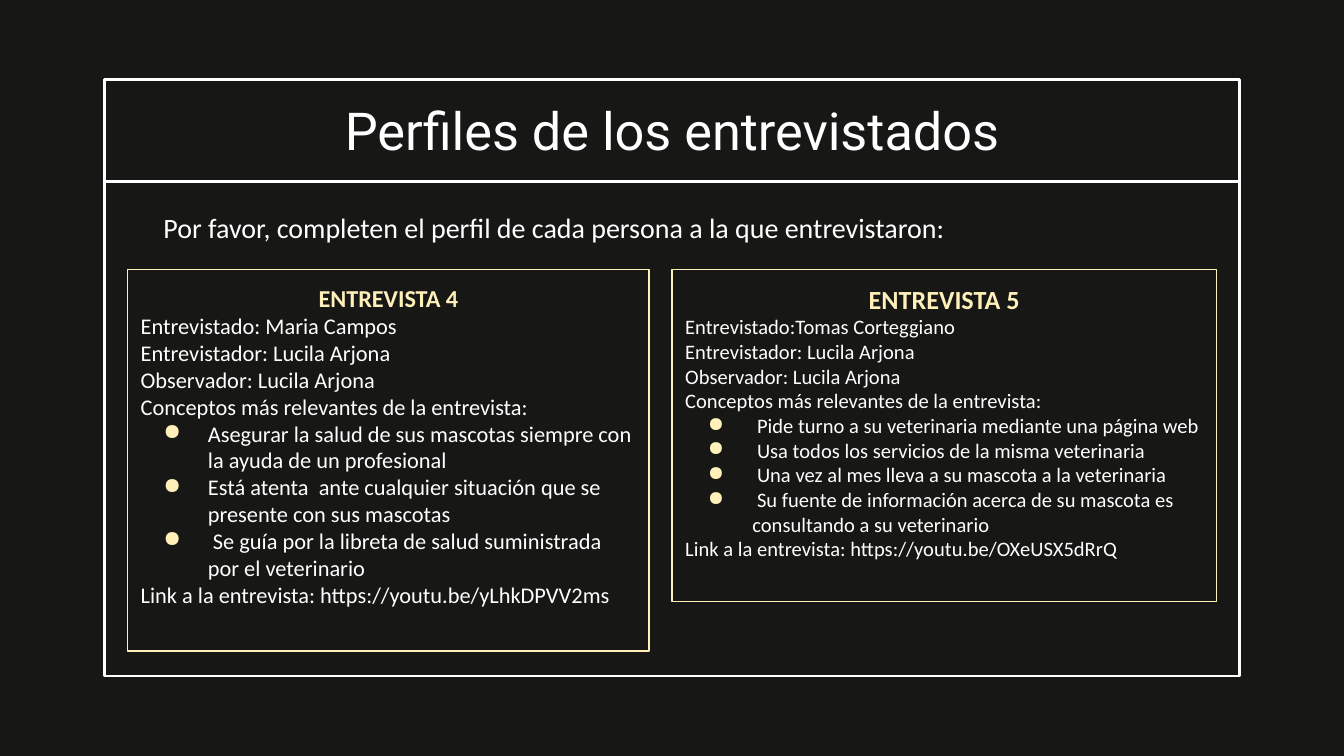
"""Build the slide with the profiles of two interviewees."""
from dataclasses import dataclass

from lxml import etree
from pptx import Presentation
from pptx.dml.color import RGBColor
from pptx.enum import shapes, text
from pptx.oxml import ns
from pptx.util import Cm, Pt


@dataclass(frozen=True)
class Theme:
    back: RGBColor = RGBColor(0x17, 0x17, 0x15)
    white: RGBColor = RGBColor(0xFF, 0xFF, 0xFF)
    cream: RGBColor = RGBColor(0xFF, 0xF0, 0xB9)
    display: str = "Roboto"
    body: str = "Calibri"
    title: int = 28
    intro: int = 15
    frame: float = 1.5
    card: float = 0.75


THEME = Theme()
INSET = Cm(0.25)
LEFT, WIDTH = 1.98, 21.44

CARDS = [
    dict(
        area=(2.41, 5.1, 9.86, 7.21), sizes=(13, 12), head="ENTREVISTA 4",
        name="Entrevistado: Maria Campos",
        points=[
            "Asegurar la salud de sus mascotas siempre con la ayuda de un profesional",
            "Está atenta  ante cualquier situación que se presente con sus mascotas",
            " Se guía por la libreta de salud suministrada por el veterinario",
        ],
        link="https://youtu.be/yLhkDPVV2ms",
    ),
    dict(
        area=(12.7, 5.1, 10.29, 6.27), sizes=(14, 11), head="ENTREVISTA 5",
        name="Entrevistado:Tomas Corteggiano",
        points=[
            " Pide turno a su veterinaria mediante una página web",
            " Usa todos los servicios de la misma veterinaria",
            " Una vez al mes lleva a su mascota a la veterinaria",
            " Su fuente de información acerca de su mascota es consultando a su veterinario",
        ],
        link="https://youtu.be/OXeUSX5dRrQ",
    ),
]


def setup(frame, anchor=text.MSO_ANCHOR.TOP):
    frame.word_wrap = True
    frame.auto_size = text.MSO_AUTO_SIZE.NONE
    frame.vertical_anchor = anchor
    frame.margin_left = frame.margin_right = INSET
    frame.margin_top = frame.margin_bottom = INSET


def style(para, words, size, color, face=THEME.body, bold=False, center=False):
    para.text = words
    para.alignment = text.PP_ALIGN.CENTER if center else text.PP_ALIGN.LEFT
    for run in para.runs:
        font = run.font
        font.name, font.size, font.bold = face, Pt(size), bold
        font.color.rgb = color


def bullet(para):
    props = para._p.get_or_add_pPr()
    props.set("marL", str(Cm(1.27)))
    props.set("indent", str(-Cm(0.84)))
    tint = etree.SubElement(props, ns.qn("a:buClr"))
    etree.SubElement(tint, ns.qn("a:srgbClr"), val=str(THEME.cream))
    etree.SubElement(props, ns.qn("a:buChar"), char="●")


def box(slide, area, color, weight):
    rect = slide.shapes.add_shape(shapes.MSO_SHAPE.RECTANGLE, *map(Cm, area))
    rect.shadow.inherit = False
    rect.fill.background()
    rect.line.color.rgb = color
    rect.line.width = Pt(weight)
    return rect


def label(slide, area, words, size, anchor=text.MSO_ANCHOR.TOP, **look):
    frame = slide.shapes.add_textbox(*map(Cm, area)).text_frame
    setup(frame, anchor)
    style(frame.paragraphs[0], words, size, THEME.white, **look)


def rule(slide, left, right, top):
    line = slide.shapes.add_connector(
        shapes.MSO_CONNECTOR.STRAIGHT, Cm(left), Cm(top), Cm(right), Cm(top))
    line.line.color.rgb = THEME.white
    line.line.width = Pt(THEME.frame)
    etree.SubElement(line._element.spPr, ns.qn("a:effectLst"))


def card(slide, area, sizes, head, name, points, link):
    frame = box(slide, area, THEME.cream, THEME.card).text_frame
    setup(frame)
    big, small = sizes
    style(frame.paragraphs[0], head, big, THEME.cream, bold=True, center=True)
    facts = [
        name,
        "Entrevistador: Lucila Arjona",
        "Observador: Lucila Arjona",
        "Conceptos más relevantes de la entrevista:",
    ]
    for words in facts:
        style(frame.add_paragraph(), words, small, THEME.white)
    for words in points:
        para = frame.add_paragraph()
        bullet(para)
        style(para, words, small, THEME.white)
    style(frame.add_paragraph(), f"Link a la entrevista: {link}", small, THEME.white)


def main():
    deck = Presentation()
    deck.slide_width, deck.slide_height = Cm(25.4), Cm(14.29)
    slide = deck.slides.add_slide(deck.slide_layouts[6])
    slide.background.fill.solid()
    slide.background.fill.fore_color.rgb = THEME.back

    box(slide, (LEFT, 1.5, WIDTH, 11.28), THEME.white, THEME.frame)
    label(slide, (LEFT, 1.8, WIDTH, 1.32), "Perfiles de los entrevistados",
          THEME.title, text.MSO_ANCHOR.MIDDLE, face=THEME.display, center=True)
    rule(slide, LEFT, LEFT + WIDTH, 3.43)
    label(slide, (2.84, 3.73, 19.13, 1.9),
          "Por favor, completen el perfil de cada persona a la que entrevistaron:",
          THEME.intro)
    for data in CARDS:
        card(slide, **data)
    deck.save("out.pptx")


if __name__ == "__main__":
    main()
